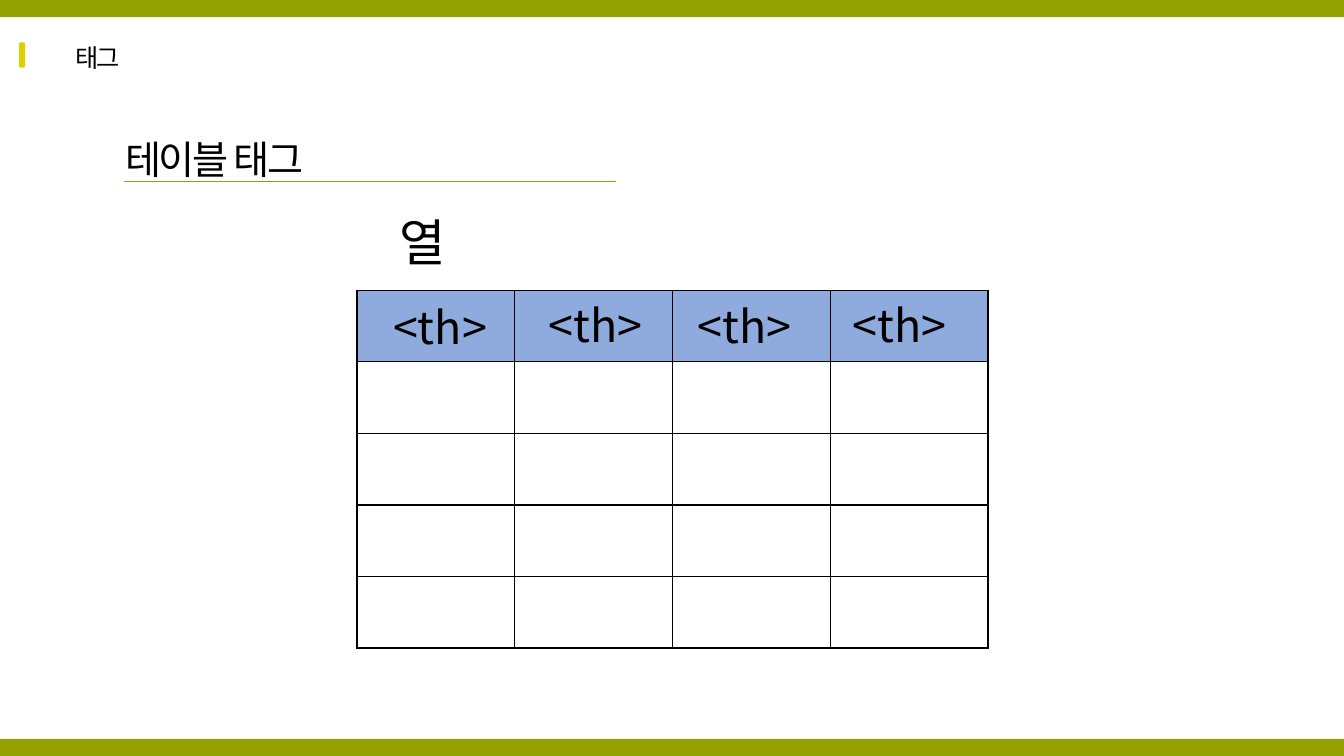
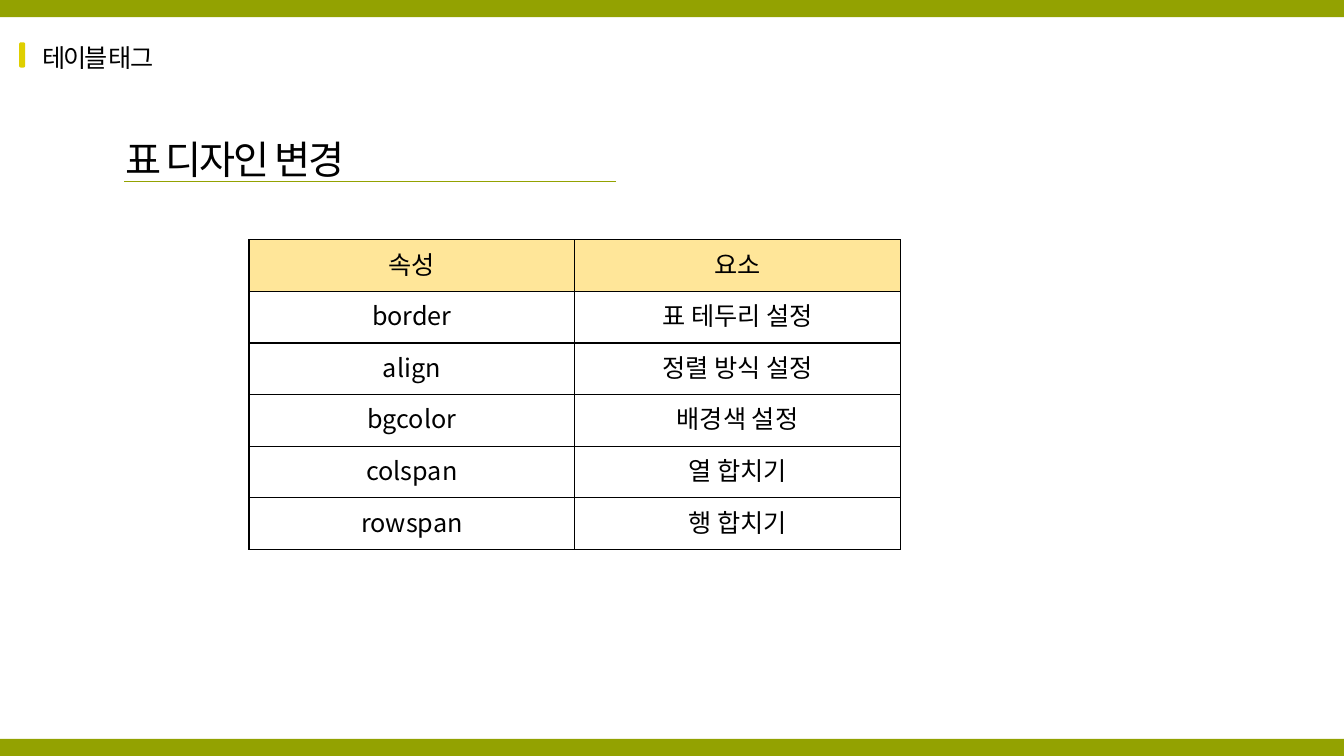
from dataclasses import dataclass
from lxml.etree import SubElement
from pptx import Presentation
from pptx.dml.color import RGBColor
from pptx.enum.shapes import MSO_CONNECTOR as Conn, MSO_SHAPE as Geo
from pptx.enum.text import MSO_ANCHOR as Anchor, MSO_AUTO_SIZE as Fit, PP_ALIGN as Align
from pptx.oxml import parse_xml
from pptx.oxml.ns import nsdecls, qn
from pptx.util import Pt

PX = 9144  # 100 px to the inch
WIDE, HIGH, BAND = 1333, 750, 17


@dataclass(frozen=True)
class Theme:
    font: str = "Noto Sans CJK KR"
    text: str = "000000"
    band: str = "93A201"
    mark: str = "DFCF00"
    blue: str = "8FAADC"
    cream: str = "FFE699"
    white: str = "FFFFFF"
    small: int = 18
    title: int = 28
    tag: int = 32
    big: int = 36
    tight: int = -150


theme = Theme()


def write(frame, text, size, align=Align.LEFT, tight=False):
    """Put one styled run into the first paragraph of a text frame."""
    para = frame.paragraphs[0]
    para.alignment = align
    run = para.add_run()
    run.text = text
    run.font.size = Pt(size)
    run.font.color.rgb = RGBColor.from_string(theme.text)
    run.font.name = theme.font
    props = run.font._element
    SubElement(props, qn("a:ea"), typeface=theme.font)
    if tight:
        props.set("spc", str(theme.tight))


def place(shape, left, top, width, height):
    """Set a shape's box in px, with text from the top left."""
    shape.left, shape.top = left * PX, top * PX
    shape.width, shape.height = width * PX, height * PX
    frame = shape.text_frame
    frame.word_wrap = True
    frame.auto_size = Fit.NONE
    frame.vertical_anchor = Anchor.TOP
    return frame


deck = Presentation()
deck.slide_width, deck.slide_height = WIDE * PX, HIGH * PX

# Header label, title, table left and top, column width, row height, head fill, rows
pages = [
    ("태그", "테이블 태그", 354, 288, 156.5, 71, theme.blue, [[""] * 4] * 5),
    ("테이블 태그", "표 디자인 변경", 247, 238, 323, 51.2, theme.cream, [
        ["속성", "요소"],
        ["border", "표 테두리 설정"],
        ["align", "정렬 방식 설정"],
        ["bgcolor", "배경색 설정"],
        ["colspan", "열 합치기"],
        ["rowspan", "행 합치기"],
    ]),
]

# Text, left, top, width, height, size
notes = [
    ("열", 386, 204, 100, 71, theme.big),
    ("<th>", 380, 292, 129, 64, theme.tag),
    ("<th>", 534, 290, 146, 64, theme.tag),
    ("<th>", 682, 291, 146, 64, theme.tag),
    ("<th>", 836, 290, 146, 64, theme.tag),
]

decor = [
    (Geo.RECTANGLE, 0, HIGH - BAND, WIDE, BAND, theme.band),
    (Geo.RECTANGLE, 0, 0, WIDE, BAND, theme.band),
    (Geo.ROUNDED_RECTANGLE, 19, 42, 6, 25, theme.mark),
]

for label, title, left, top, col, row, head, rows in pages:
    slide = deck.slides.add_slide(deck.slide_layouts[5])
    shapes = slide.shapes

    for geo, *box, fill in decor:
        shape = shapes.add_shape(geo, *(n * PX for n in box))
        shape.shadow.inherit = False
        shape.fill.solid()
        shape.fill.fore_color.rgb = RGBColor.from_string(fill)
        shape.line.fill.background()
        if geo == Geo.ROUNDED_RECTANGLE:
            shape.adjustments[0] = 0.28

    frame = place(shapes.title, 114, 129, 395, 57)
    write(frame, title, theme.title, tight=True)
    rule = shapes.add_connector(Conn.STRAIGHT, 611 * PX, 180 * PX, 123 * PX, 180 * PX)
    rule.line.color.rgb = RGBColor.from_string(theme.band)
    rule.line.width = Pt(0.75)
    SubElement(rule._element.spPr, qn("a:effectLst"))

    frame = place(shapes.add_textbox(0, 0, 0, 0), 0, 37, 194, 40)
    write(frame, label, theme.small, Align.CENTER, tight=True)

    wide, high = int(col * PX), int(row * PX)
    count = len(rows[0])
    table = shapes.add_table(len(rows), count, left * PX, top * PX,
                             wide * count, high * len(rows)).table
    table.first_row = table.horz_banding = False
    for line in table.columns:
        line.width = wide
    for i, texts in enumerate(rows):
        table.rows[i].height = high
        for j, text in enumerate(texts):
            cell = table.cell(i, j)
            cell.fill.solid()
            cell.fill.fore_color.rgb = RGBColor.from_string(theme.white if i else head)
            props = cell._tc.get_or_add_tcPr()
            for k, side in enumerate("LRTB"):
                props.insert(k, parse_xml(
                    f'<a:ln{side} {nsdecls("a")} w="{Pt(1)}"><a:solidFill>'
                    f'<a:srgbClr val="{theme.text}"/></a:solidFill></a:ln{side}>'))
            if text:
                write(cell.text_frame, text, theme.small, Align.CENTER)

# The first slide names its column and head cells
shapes = deck.slides[0].shapes
for text, *box, size in notes:
    write(place(shapes.add_textbox(0, 0, 0, 0), *box), text, size)

deck.save("out.pptx")
